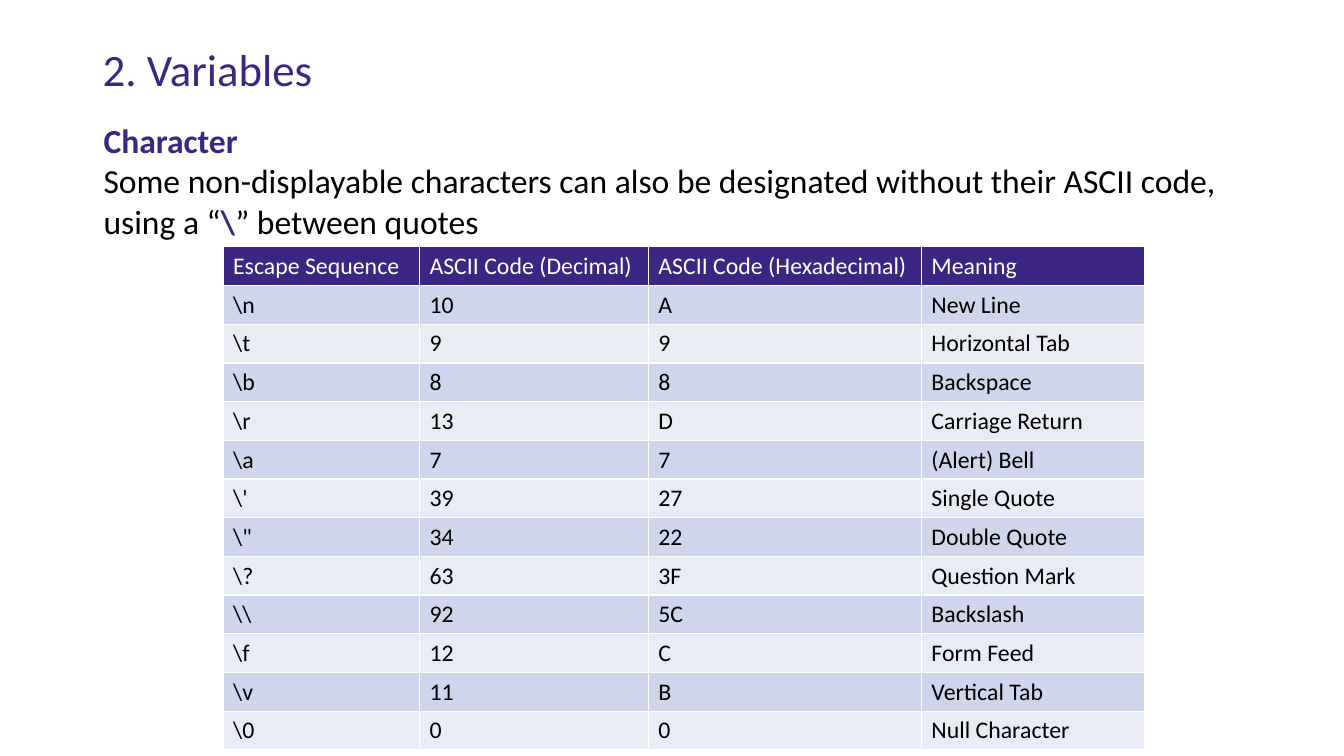
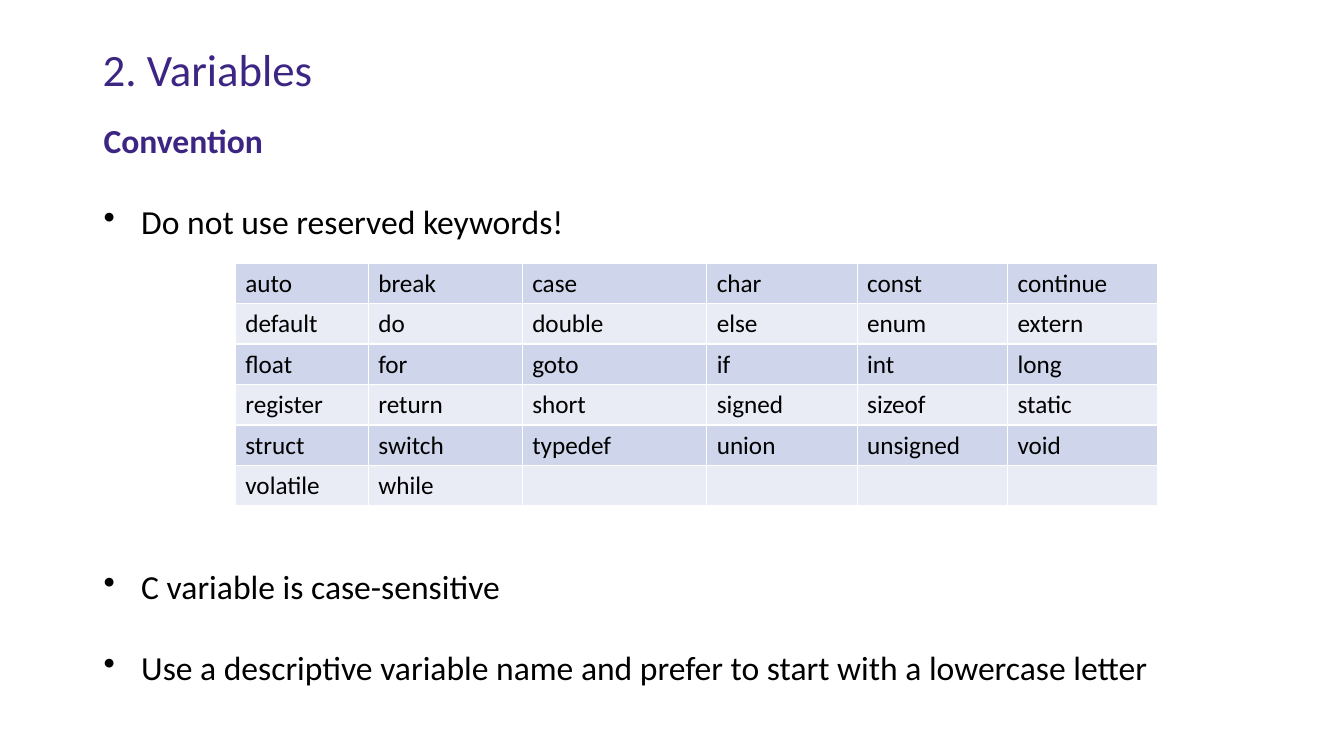
"""Build two slides on C variables: escape sequences and naming convention."""
from lxml.etree import SubElement
from pptx import Presentation
from pptx.dml.color import RGBColor
from pptx.enum.text import MSO_ANCHOR, MSO_AUTO_SIZE
from pptx.oxml.ns import qn
from pptx.util import Cm, Pt

HUES = {"ink": "3D2683", "text": "000000", "white": "FFFFFF",
        "odd": "CFD5EA", "even": "E9EBF5"}
FONT = "Calibri"
TITLE = "2. Variables"
LINE = 29
FORMS = {
    "title": {"size": Pt(32), "bold": False, "hue": "ink"},
    "key": {"size": Pt(24), "bold": True, "hue": "ink"},
    "body": {"size": Pt(24), "bold": False, "hue": "text"},
}

CODES = [
    ("Escape Sequence", "ASCII Code (Decimal)", "ASCII Code (Hexadecimal)", "Meaning"),
    (r"\n", "10", "A", "New Line"),
    (r"\t", "9", "9", "Horizontal Tab"),
    (r"\b", "8", "8", "Backspace"),
    (r"\r", "13", "D", "Carriage Return"),
    (r"\a", "7", "7", "(Alert) Bell"),
    (r"\'", "39", "27", "Single Quote"),
    (r'\"', "34", "22", "Double Quote"),
    (r"\?", "63", "3F", "Question Mark"),
    (r"\\", "92", "5C", "Backslash"),
    (r"\f", "12", "C", "Form Feed"),
    (r"\v", "11", "B", "Vertical Tab"),
    (r"\0", "0", "0", "Null Character"),
]
WORDS = [
    ("auto", "break", "case", "char", "const", "continue"),
    ("default", "do", "double", "else", "enum", "extern"),
    ("float", "for", "goto", "if", "int", "long"),
    ("register", "return", "short", "signed", "sizeof", "static"),
    ("struct", "switch", "typedef", "union", "unsigned", "void"),
    ("volatile", "while", "", "", "", ""),
]

SLIDES = [
    {
        "size": (29.72, 3.33),
        "paras": [
            {"runs": [("Character", "key")]},
            {"runs": [
                ("Some non-displayable characters can also be designated "
                 "without their ASCII code, using a “", "body"),
                ("\\", "key"),
                ("” between quotes", "body"),
            ]},
        ],
        "table": {"rows": CODES, "head": 1, "at": (5.62, 6.22), "high": 0.97,
                  "cols": (4.95, 5.77, 6.88, 5.62), "font": 17},
    },
    {
        "size": (30.38, 14.63),
        "paras": [
            {"runs": [("Convention", "key")]},
            {"runs": [("Do not use reserved keywords!", "body")],
             "dot": True, "gap": 1},
            {"runs": [("C variable is case-sensitive", "body")],
             "dot": True, "gap": 8},
            {"runs": [("Use a descriptive variable name and prefer to start "
                       "with a lowercase letter", "body")],
             "dot": True, "gap": 1},
        ],
        "table": {"rows": WORDS, "head": 0, "at": (5.93, 6.63), "high": 1.02,
                  "cols": (3.35, 3.88, 4.65, 3.79, 3.79, 3.79), "font": 18},
    },
]


def add_run(para, text, form):
    run = para.add_run()
    run.text = text
    run.font.name = FONT
    for name, value in form.items():
        if name == "hue":
            run.font.color.rgb = RGBColor.from_string(HUES[value])
        else:
            setattr(run.font, name, value)


def add_box(slide, area, paras, frame_form):
    frame = slide.shapes.add_textbox(*map(Cm, area)).text_frame
    for name, value in {"word_wrap": True, **frame_form}.items():
        setattr(frame, name, value)
    for num, item in enumerate(paras):
        para = frame.add_paragraph() if num else frame.paragraphs[0]
        if "gap" in item:
            para.space_before = Pt(item["gap"] * LINE)
        if "line" in item:
            para.line_spacing = item["line"]
        if item.get("dot"):
            props = para._p.get_or_add_pPr()
            props.set("marL", str(Cm(0.95)))
            props.set("indent", str(-Cm(0.95)))
            SubElement(props, qn("a:buChar"), char="•")
        for text, form in item["runs"]:
            add_run(para, text, FORMS[form])


def add_edges(cell):
    props = cell._tc.get_or_add_tcPr()
    for side in "LRTB":
        line = SubElement(props, qn(f"a:ln{side}"), w=str(Pt(1)))
        fill = SubElement(line, qn("a:solidFill"))
        SubElement(fill, qn("a:srgbClr"), val=HUES["white"])


def add_grid(slide, rows, head, at, high, cols, font):
    area = (*at, sum(cols), high * len(rows))
    grid = slide.shapes.add_table(len(rows), len(cols), *map(Cm, area)).table
    grid.first_row = bool(head)
    for col, wide in zip(grid.columns, cols):
        col.width = Cm(wide)
    for num, row in enumerate(rows):
        grid.rows[num].height = Cm(high)
        top = num < head
        back = "ink" if top else ("odd", "even")[(num - head) % 2]
        form = {"size": Pt(font), "bold": False, "hue": "white" if top else "text"}
        for pos, text in enumerate(row):
            cell = grid.cell(num, pos)
            add_edges(cell)
            cell.fill.solid()
            cell.fill.fore_color.rgb = RGBColor.from_string(HUES[back])
            if text:
                add_run(cell.text_frame.paragraphs[0], text, form)


def main():
    deck = Presentation()
    deck.slide_width, deck.slide_height = Cm(33.87), Cm(19.05)
    for page in SLIDES:
        slide = deck.slides.add_slide(deck.slide_layouts[6])
        add_box(slide, (2.34, 1.02, 29.21, 1.6),
                [{"runs": [(TITLE, "title")], "line": 0.9}],
                {"vertical_anchor": MSO_ANCHOR.MIDDLE})
        add_box(slide, (2.36, 2.9, *page["size"]), page["paras"],
                {"auto_size": MSO_AUTO_SIZE.SHAPE_TO_FIT_TEXT})
        add_grid(slide, **page["table"])
    deck.save("out.pptx")


if __name__ == "__main__":
    main()
